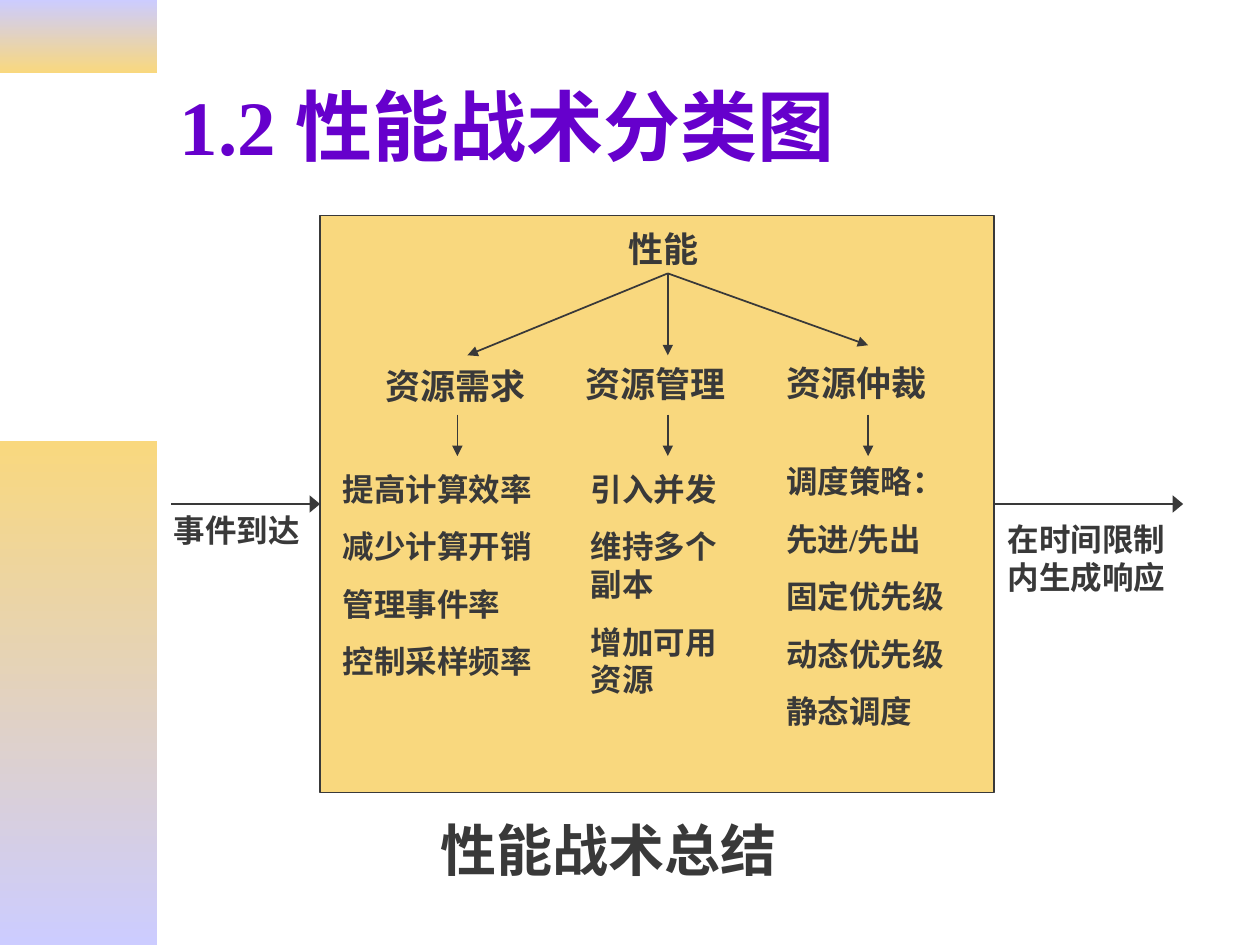
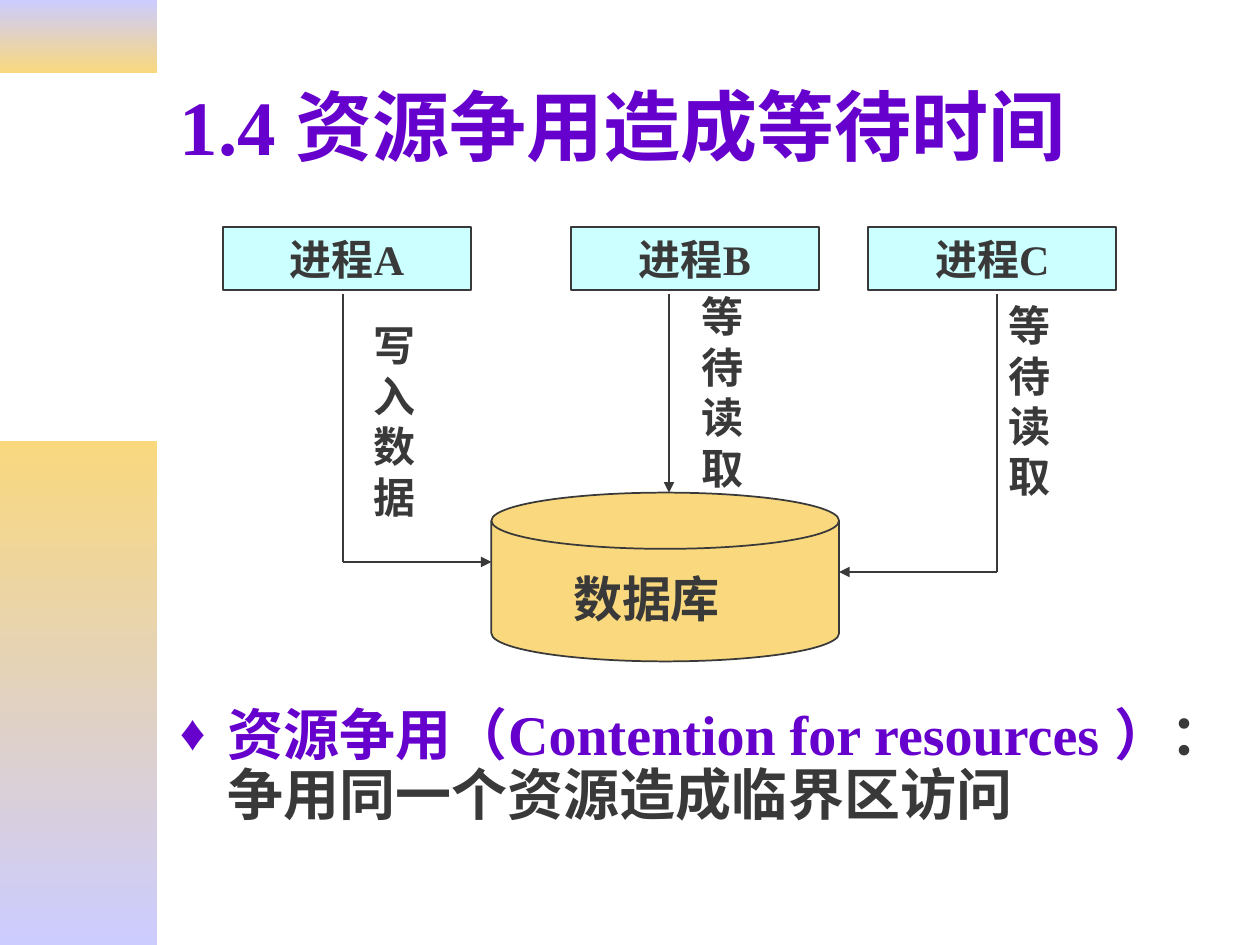
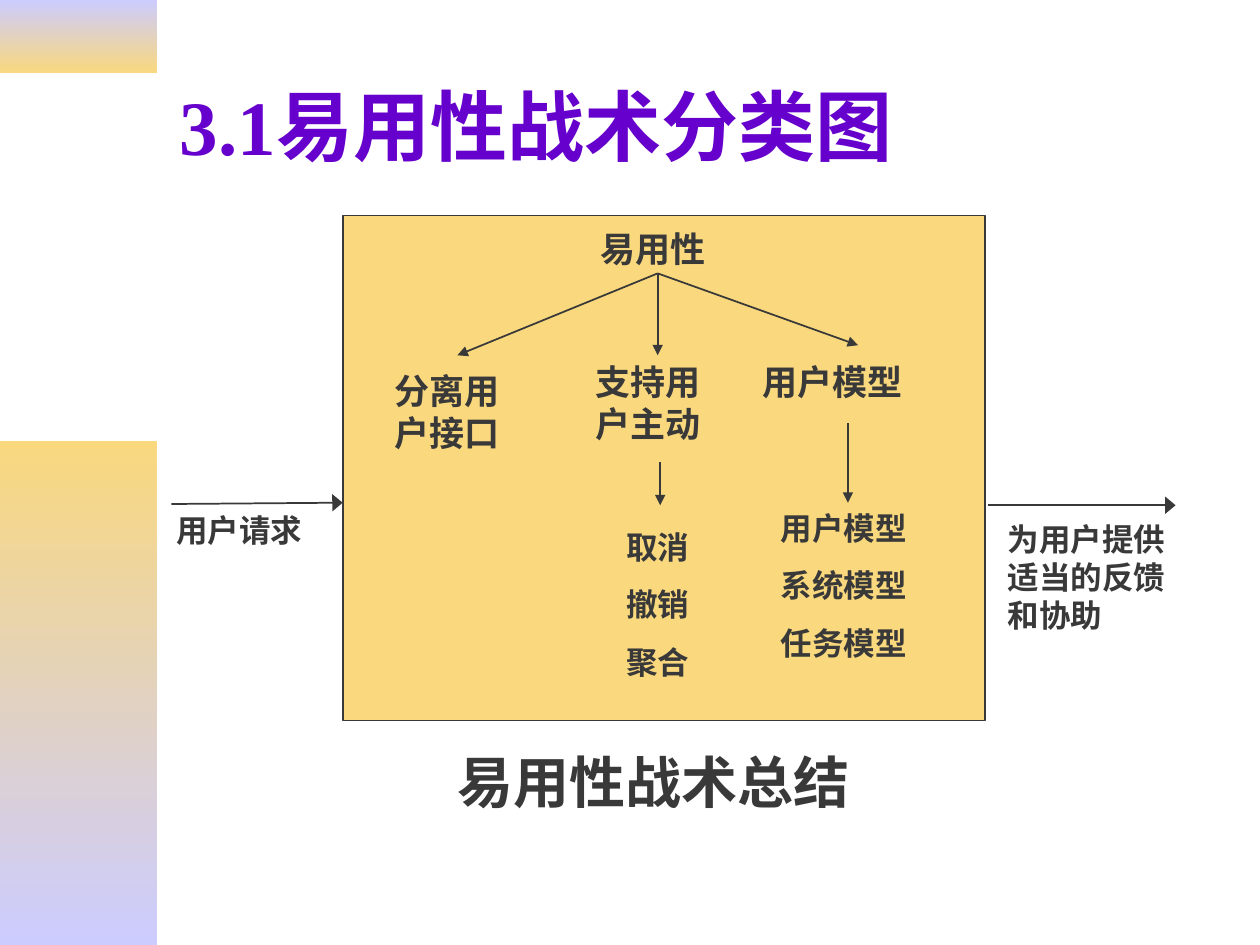
"""Build three slides on performance and usability tactics."""
from pptx import Presentation
from pptx.dml.color import RGBColor
from pptx.enum.shapes import MSO_CONNECTOR, MSO_SHAPE as SHAPE
from pptx.enum.text import MSO_ANCHOR as ANCHOR, PP_ALIGN as ALIGN
from pptx.oxml.ns import qn
from pptx.util import Inches, Pt
from lxml.etree import SubElement

FONT = "Times New Roman"
INK = RGBColor(0x39, 0x39, 0x39)
PURPLE = RGBColor(0x66, 0x00, 0xCC)
GOLD = RGBColor(0xF9, 0xD8, 0x7E)
LAVENDER = RGBColor(0xCC, 0xCC, 0xFF)
CYAN = RGBColor(0xCC, 0xFF, 0xFF)

BANDS = [((0, 0, 1.25, 0.58), (LAVENDER, GOLD)),
         ((0, 3.5, 1.25, 4), (GOLD, LAVENDER))]
TITLE_BOX = (1.33, 0.33, 8.5, 1.32)
FAN_TIPS = [(-1.59, 0.65), (0, 0.65), (1.59, 0.57)]
SITE_LEFT, SITE_RIGHT = 1, 3

PERFORMANCE = {
    "title": "1.2 性能战术分类图",
    "panel": (2.54, 1.71, 5.35, 4.58),
    "hub": (2.76, 0.46),
    "labels": [
        ((2.35, 0.05, 0.92, 0.44), ["性能"], 20),
        ((0.42, 1.13, 1.51, 0.44), ["资源需求"], 20),
        ((2.01, 1.12, 1.51, 0.44), ["资源管理"], 20),
        ((3.6, 1.11, 1.42, 0.44), ["资源仲裁"], 20),
        ((0.08, 1.97, 1.92, 1.77),
         ["提高计算效率", "减少计算开销", "管理事件率", "控制采样频率"], 18),
        ((2.05, 1.97, 1.42, 1.92), ["引入并发", "维持多个副本", "增加可用资源"], 18),
        ((3.6, 1.91, 1.59, 2.23),
         ["调度策略：", "先进/先出", "固定优先级", "动态优先级", "静态调度"], 18),
        ((0.86, 4.71, 3.75, 0.64), ["性能战术总结"], 32),
        ((-1.26, 2.3, 1.26, 0.4), ["事件到达"], 18),
        ((5.36, 2.37, 1.51, 0.7), ["在时间限制内生成响应"], 18),
    ],
    "drops": [(1.09, 1.58, 1.91), (2.76, 1.58, 1.91), (4.35, 1.58, 1.91)],
    "flows": [((-1.18, 2.29), (0, 2.29)), ((5.35, 2.29), (6.85, 2.29))],
}

USABILITY = {
    "title": "3.1易用性战术分类图",
    "panel": (2.72, 1.71, 5.1, 4.01),
    "hub": (2.5, 0.46),
    "labels": [
        ((1.95, 0.05, 1.12, 0.44), ["易用性"], 20),
        ((0.31, 1.17, 1.26, 0.77), ["分离用户接口"], 20),
        ((1.91, 1.1, 1.15, 0.77), ["支持用户主动"], 20),
        ((3.23, 1.1, 1.5, 0.44), ["用户模型"], 20),
        ((2.15, 2.43, 0.71, 1.32), ["取消", "撤销", "聚合"], 18),
        ((3.38, 2.28, 1.26, 1.32), ["用户模型", "系统模型", "任务模型"], 18),
        ((0.81, 4.17, 3.75, 0.64), ["易用性战术总结"], 32),
        ((-1.42, 2.3, 1.24, 0.4), ["用户请求"], 18),
        ((5.18, 2.37, 1.51, 1), ["为用户提供适当的反馈和协助"], 18),
    ],
    "drops": [(2.52, 1.96, 2.3), (4.01, 1.65, 2.28)],
    "flows": [((-1.36, 2.29), (0, 2.28)), ((5.12, 2.3), (6.61, 2.3))],
}


def set_attributes(target, values):
    """Set each named attribute of the target."""
    for name, value in values.items():
        setattr(target, name, value)


def shifted(origin, offset):
    """Move a point or box by the left and top of an origin."""
    return (origin[0] + offset[0], origin[1] + offset[1], *offset[2:])


def write_run(paragraph, text, size, color=INK):
    """Append one bold run to a paragraph."""
    run = paragraph.add_run()
    run.text = text
    set_attributes(run.font, {"name": FONT, "size": Pt(size), "bold": True})
    run.font.color.rgb = color


def write_lines(frame, lines, size, color=INK, align=ALIGN.LEFT):
    """Fill a text frame with one paragraph per line."""
    for index, line in enumerate(lines):
        paragraph = frame.add_paragraph() if index else frame.paragraphs[0]
        paragraph.alignment = align
        if index:
            paragraph.space_before = Pt(size * 0.625)
        write_run(paragraph, line, size, color)


def add_text(slide, box, lines, size, color=INK, anchor=ANCHOR.TOP):
    """Add a wrapped text box and return its frame."""
    frame = slide.shapes.add_textbox(*map(Inches, box)).text_frame
    set_attributes(frame, {"word_wrap": True, "vertical_anchor": anchor})
    write_lines(frame, lines, size, color)
    return frame


def add_block(slide, kind, box, color):
    """Add a filled, outlined shape."""
    shape = slide.shapes.add_shape(kind, *map(Inches, box))
    shape.shadow.inherit = False
    shape.fill.solid()
    shape.fill.fore_color.rgb = color
    shape.line.color.rgb = INK
    shape.line.width = Pt(1)
    return shape


def add_line(slide, start, end, head="med"):
    """Add a straight line, with an arrowhead of the given width if any."""
    line = slide.shapes.add_connector(
        MSO_CONNECTOR.STRAIGHT, *map(Inches, (*start, *end)))
    line.line.color.rgb = INK
    line.line.width = Pt(1)
    if head:
        SubElement(line.line._get_or_add_ln(), qn("a:tailEnd"),
                   type="triangle", w=head, len="med")
    SubElement(line._element.spPr, qn("a:effectLst"))
    return line


def add_base_slide(presentation, title):
    """Add a blank slide with the side bands and the title."""
    slide = presentation.slides.add_slide(presentation.slide_layouts[6])
    for box, colors in BANDS:
        band = slide.shapes.add_shape(SHAPE.RECTANGLE, *map(Inches, box))
        band.shadow.inherit = False
        band.line.fill.background()
        band.fill.gradient()
        band.fill.gradient_angle = 270
        for position, (stop, color) in enumerate(zip(band.fill.gradient_stops, colors)):
            stop.color.rgb = color
            stop.position = position
    add_text(slide, TITLE_BOX, [title], 44, PURPLE, ANCHOR.MIDDLE)
    return slide


def add_tactics_slide(presentation, tactics):
    """Add a tactics tree in a panel, with flows in and out."""
    slide = add_base_slide(presentation, tactics["title"])
    origin = tactics["panel"]
    panel = add_block(slide, SHAPE.RECTANGLE, origin, GOLD)
    for box, lines, size in tactics["labels"]:
        add_text(slide, shifted(origin, box), lines, size)
    hub = shifted(origin, tactics["hub"])
    for tip in FAN_TIPS:
        add_line(slide, hub, shifted(hub, tip))
    for x, top, bottom in tactics["drops"]:
        add_line(slide, shifted(origin, (x, top)), shifted(origin, (x, bottom)))
    inflow, outflow = [
        add_line(slide, shifted(origin, start), shifted(origin, end), "lg")
        for start, end in tactics["flows"]]
    if abs(inflow.end_y - panel.top - panel.height / 2) < Inches(0.02):
        inflow.end_connect(panel, SITE_LEFT)
        outflow.begin_connect(panel, SITE_RIGHT)


def add_contention_diagram(slide, origin):
    """Draw three processes that compete for one database."""
    def at(*offset):
        return shifted(origin, offset)

    add_block(slide, SHAPE.FLOWCHART_MAGNETIC_DISK, at(2.13, 2.11, 2.76, 1.34), GOLD)
    add_text(slide, at(2.68, 2.66, 2.05, 0.57), ["数据库"], 28)
    for name, left in zip("ABC", (0, 2.76, 5.12)):
        process = add_block(slide, SHAPE.RECTANGLE, at(left, 0, 1.97, 0.5), CYAN)
        process.text_frame.vertical_anchor = ANCHOR.MIDDLE
        write_lines(process.text_frame, [f"进程{name}"], 24, align=ALIGN.CENTER)
    for label, left, top in [("写入数据", 1.1, 0.69), ("等待读取", 3.7, 0.46),
                             ("等待读取", 6.14, 0.53)]:
        add_text(slide, at(left, top, 0.63, 1.7), [label], 24)
    add_line(slide, at(3.54, 0.53), at(3.54, 2.11))
    for x, bottom, disk_edge in [(0.95, 2.66, 2.13), (6.14, 2.74, 4.89)]:
        add_line(slide, at(x, 0.53), at(x, bottom), head=None)
        add_line(slide, at(x, bottom), at(disk_edge, bottom))


def add_definition(slide, box):
    """Add the bulleted definition of resource contention."""
    paragraph = add_text(slide, box, [], 32).paragraphs[0]
    properties = paragraph._p.get_or_add_pPr()
    properties.set("marL", str(Inches(0.38)))
    properties.set("indent", str(-Inches(0.38)))
    paragraph.line_spacing = 0.9
    bullet_color = SubElement(properties, qn("a:buClr"))
    SubElement(bullet_color, qn("a:srgbClr"), val=str(PURPLE))
    SubElement(properties, qn("a:buSzPct"), val="90000")
    SubElement(properties, qn("a:buFont"), typeface=FONT)
    SubElement(properties, qn("a:buChar"), char="♦")
    write_run(paragraph, "资源争用（Contention for resources ）", 32, PURPLE)
    write_run(paragraph, "：争用同一个资源造成临界区访问", 32)


def add_contention_slide(presentation):
    """Add the slide on waiting caused by resource contention."""
    slide = add_base_slide(presentation, "1.4 资源争用造成等待时间")
    add_contention_diagram(slide, (1.77, 1.8))
    add_definition(slide, (1.33, 5.56, 8.5, 1.11))


def main():
    """Build and save the presentation."""
    presentation = Presentation()
    set_attributes(presentation, {"slide_width": Inches(10), "slide_height": Inches(7.5)})
    add_tactics_slide(presentation, PERFORMANCE)
    add_contention_slide(presentation)
    add_tactics_slide(presentation, USABILITY)
    presentation.save("out.pptx")


if __name__ == "__main__":
    main()
